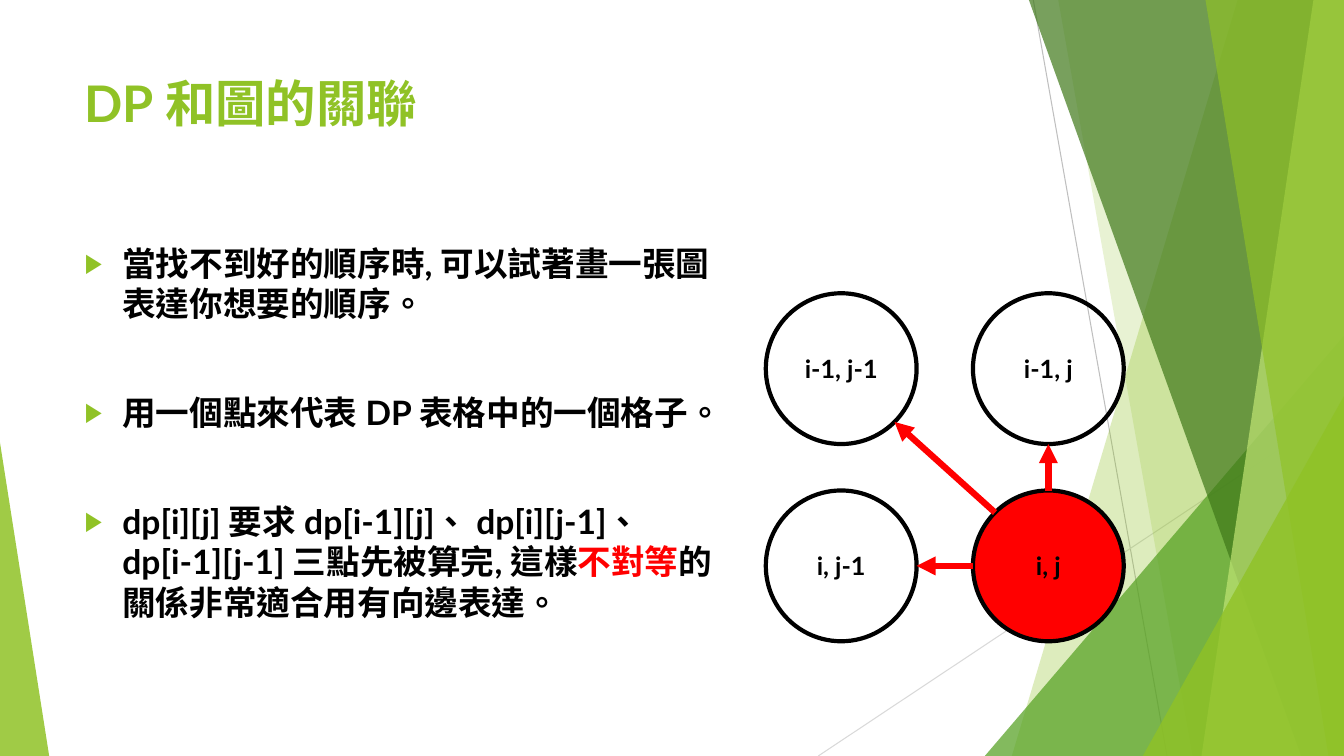
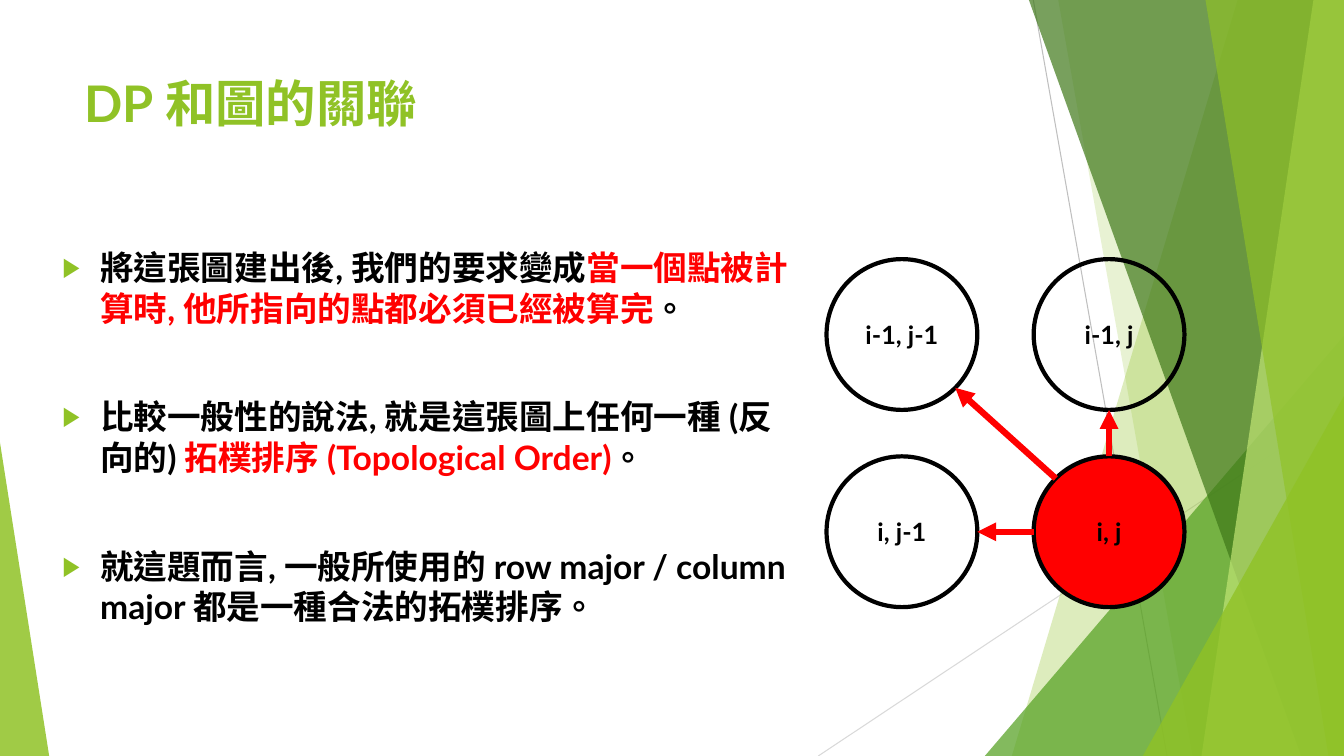
from math import hypot

from lxml.etree import SubElement
from pptx import Presentation
from pptx.dml.color import RGBColor
from pptx.enum.shapes import MSO_CONNECTOR as Link, MSO_SHAPE as Preset
from pptx.enum.text import MSO_ANCHOR as Anchor, MSO_AUTO_SIZE as Fit, PP_ALIGN as Align
from pptx.oxml.ns import qn
from pptx.util import Cm, Pt

WIDE, HIGH = 33.87, 19.05
FONT = "Lato"
GREEN, RED, BLACK = "90C226", "FF0000", "000000"
TITLE_BOX = (1.88, 1.7, 23.88, 3.66)

# Backdrop, back to front (cm)
LINES = [
    ((26.04, 0), (29.41, HIGH), "BFBFBF"),
    ((WIDE, 10.24), (20.62, HIGH), "D9D9D9"),
]
# band: top x, bottom x; wedge: left, top, width, apex (0 left, 1 right)
FACETS = [
    ("band", (31.19, 25.5), GREEN, 30),
    ("band", (26.67, 30.05), GREEN, 20),
    ("wedge", (24.82, 8.46, 9.05, 1), "54A021", 72),
    ("band", (25.93, 32.79), "3F7819", 70),
    ("band", (33.1, 30.28), "C0E474", 70),
    ("band", (30.38, 33.48), GREEN, 65),
    ("wedge", (28.8, 9.98, 5.07, 1), GREEN, 80),
    ("wedge", (0, 11.15, 1.24, 0), GREEN, 85),
]

# Each paragraph is a list of (text, colour) runs
SLIDES = [
    {
        "title": "DP 和圖的關聯",
        "box": (1.88, 5.99, 16.71, 10.77),
        "graph": (19.3, 7.39),
        "body": [
            [("當找不到好的順序時, 可以試著畫一張圖表達你想要的順序。", BLACK)],
            [("用一個點來代表 DP 表格中的一個格子。", BLACK)],
            [("dp[i][j] 要求 dp[i-1][j]、 dp[i][j-1]、 dp[i-1][j-1] 三點先被算完, 這樣", BLACK),
             ("不對等", RED),
             ("的關係非常適合用有向邊表達。", BLACK)],
        ],
    },
    {
        "title": "DP 和圖的關聯",
        "box": (1.32, 6.1, 18.92, 10.77),
        "graph": (20.83, 6.53),
        "body": [
            [("將這張圖建出後, 我們的要求變成", BLACK),
             ("當一個點被計算時, 他所指向的點都必須已經被算完", RED),
             ("。", BLACK)],
            [("比較一般性的說法, 就是這張圖上任何一種 (反向的) ", BLACK),
             ("拓樸排序 (Topological Order)", RED),
             ("。", BLACK)],
            [("就這題而言, 一般所使用的 row major / column major 都是一種合法的拓樸排序。", BLACK)],
        ],
    },
]

# Graph cells by (column, row); the last one points at the others
CELLS = {(0, 0): "i-1, j-1", (1, 0): "i-1, j", (0, 1): "i, j-1", (1, 1): "i, j"}
START = (1, 1)
SIZE, STEP = 3.8, (5.22, 4.97)


def rgb(code):
    return RGBColor.from_string(code)


def paint(shape, code, alpha):
    """Flat fill with an opacity in percent, no outline."""
    shape.shadow.inherit = False
    shape.line.fill.background()
    shape.fill.solid()
    shape.fill.fore_color.rgb = rgb(code)
    clr = shape._element.spPr.find(qn("a:solidFill"))[0]
    SubElement(clr, qn("a:alpha")).set("val", str(alpha * 1000))


def place(shape, box):
    shape.left, shape.top, shape.width, shape.height = map(Cm, box)


def write(para, text, size, code):
    run = para.add_run()
    run.text = text
    font = run.font
    font.name, font.size, font.bold = FONT, Pt(size), True
    font.color.rgb = rgb(code)
    props = run._r.get_or_add_rPr()
    props.set("lang", "zh-TW")
    SubElement(props, qn("a:ea")).set("typeface", FONT)


def draw_line(shapes, start, end, code, width):
    line = shapes.add_connector(Link.STRAIGHT, *map(Cm, (*start, *end)))
    line.line.color.rgb = rgb(code)
    line.line.width = Pt(width)
    SubElement(line._element.spPr, qn("a:effectLst"))
    return line


def draw_facet(shapes, kind, dims, code, alpha):
    if kind == "band":
        top, base = dims
        pen = shapes.build_freeform(Cm(top), 0)
        pen.add_line_segments(
            [(Cm(x), Cm(y)) for x, y in ((WIDE, 0), (WIDE, HIGH), (base, HIGH))])
        shape = pen.convert_to_shape()
    else:
        left, top, width, apex = dims
        shape = shapes.add_shape(Preset.ISOSCELES_TRIANGLE,
                                 *map(Cm, (left, top, width, HIGH - top)))
        shape.adjustments[0] = apex
    paint(shape, code, alpha)
    return shape


def set_backdrop(layout, slide):
    """Draw the backdrop on a slide, then move it to the shared layout."""
    parts = [draw_line(slide.shapes, *item, 0.75) for item in LINES]
    parts += [draw_facet(slide.shapes, *item) for item in FACETS]
    for part in parts:
        layout.shapes._spTree.append(part._element)


def add_bullet(para):
    props = para._p.get_or_add_pPr()
    props.set("marL", str(Cm(0.95)))
    props.set("indent", str(Cm(-0.95)))
    clr = SubElement(props, qn("a:buClr"))
    SubElement(clr, qn("a:srgbClr")).set("val", GREEN)
    SubElement(props, qn("a:buSzPct")).set("val", "80000")
    SubElement(props, qn("a:buChar")).set("char", "▶")


def fill_text(slide, page):
    title, body = slide.placeholders
    for shape, box in ((title, TITLE_BOX), (body, page["box"])):
        place(shape, box)
        frame = shape.text_frame
        frame.auto_size, frame.vertical_anchor = Fit.NONE, Anchor.TOP
    head = title.text_frame.paragraphs[0]
    head.alignment = Align.LEFT
    write(head, page["title"], 36, GREEN)
    frame = body.text_frame
    for i, runs in enumerate(page["body"]):
        para = frame.add_paragraph() if i else frame.paragraphs[0]
        para.space_before = Pt(49 if i else 0)
        add_bullet(para)
        for text, code in runs:
            write(para, text, 24, code)


def draw_graph(shapes, origin):
    mids = {}
    for cell, text in CELLS.items():
        left, top = (o + n * s for o, n, s in zip(origin, cell, STEP))
        mids[cell] = (left + SIZE / 2, top + SIZE / 2)
        node = shapes.add_shape(Preset.OVAL, *map(Cm, (left, top, SIZE, SIZE)))
        node.shadow.inherit = False
        node.line.color.rgb = rgb(BLACK)
        node.line.width = Pt(3)
        if cell == START:
            node.fill.solid()
            node.fill.fore_color.rgb = rgb(RED)
        else:
            node.fill.background()
        frame = node.text_frame
        frame.word_wrap, frame.vertical_anchor = False, Anchor.MIDDLE
        para = frame.paragraphs[0]
        para.alignment = Align.CENTER
        write(para, text, 18, BLACK)
    for cell in CELLS:
        if cell == START:
            continue
        way = [b - a for a, b in zip(START, cell)]
        edge = [w * SIZE / 2 / hypot(*way) for w in way]
        tail = [m + e for m, e in zip(mids[START], edge)]
        tip = [m - e for m, e in zip(mids[cell], edge)]
        arrow = draw_line(shapes, tail, tip, RED, 4.5)
        ln = arrow._element.spPr.find(qn("a:ln"))
        SubElement(ln, qn("a:tailEnd")).set("type", "triangle")


def main():
    deck = Presentation()
    deck.slide_width, deck.slide_height = Cm(WIDE), Cm(HIGH)
    layout = deck.slide_layouts[1]
    for i, page in enumerate(SLIDES):
        slide = deck.slides.add_slide(layout)
        if i == 0:
            set_backdrop(layout, slide)
        fill_text(slide, page)
        draw_graph(slide.shapes, page["graph"])
    deck.save("out.pptx")


if __name__ == "__main__":
    main()
